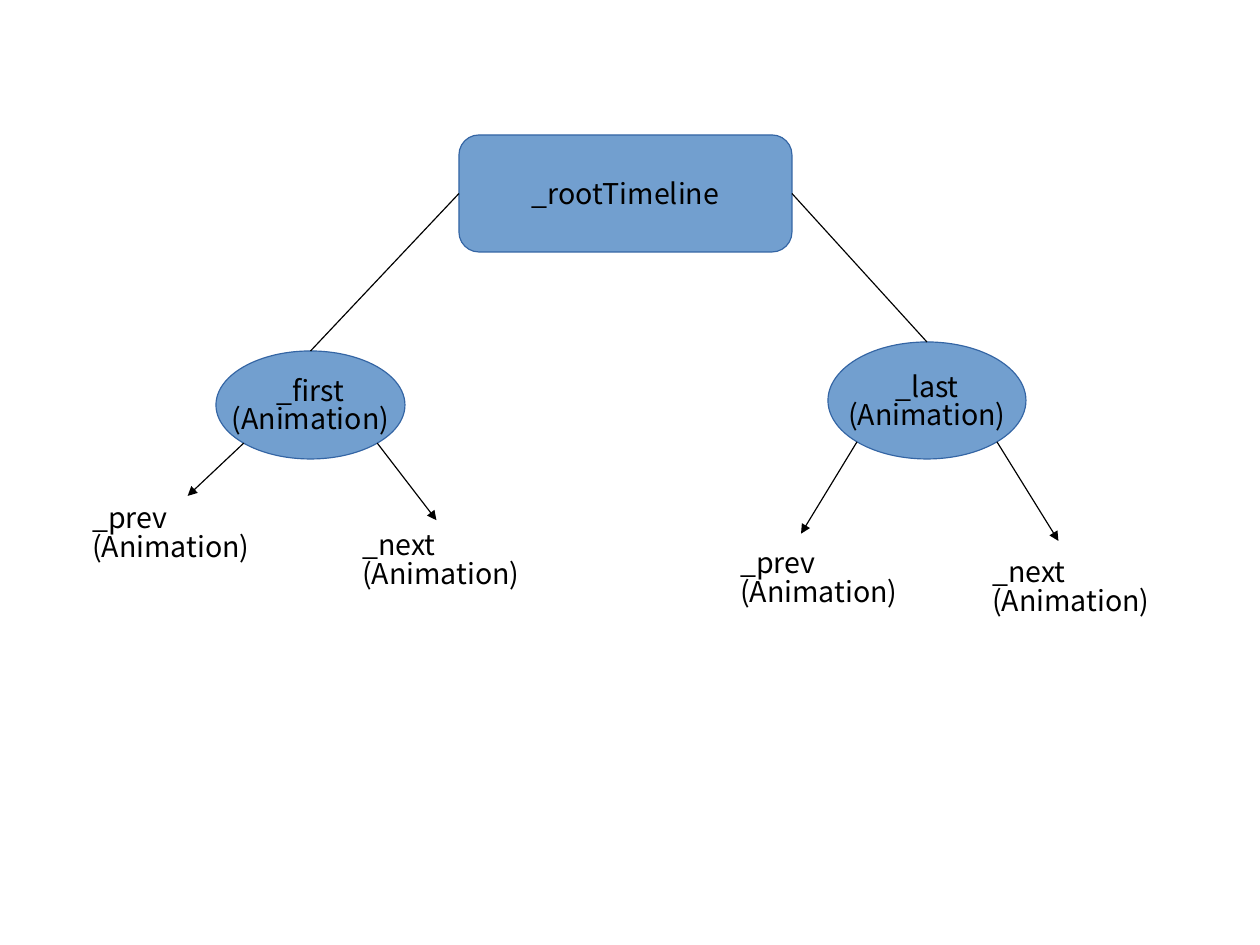
import math
from dataclasses import dataclass

import pptx
import pptx.dml.color
import pptx.enum.shapes
import pptx.enum.text
import pptx.oxml.ns
import pptx.util
from lxml import etree

Cm = pptx.util.Cm
Pt = pptx.util.Pt
SHAPES = pptx.enum.shapes.MSO_SHAPE
ALIGN = pptx.enum.text.PP_ALIGN
ANCHOR = pptx.enum.text.MSO_ANCHOR


@dataclass(frozen=True)
class Theme:
    node_fill: str = "729FCF"
    node_line: str = "3465A4"
    ink: str = "000000"
    font: str = "Noto Sans CJK KR"
    text_size: float = 18
    line_width: float = 0.75
    line_spacing: float = 0.83


def rgb(value):
    return pptx.dml.color.RGBColor.from_string(value)


class TreeDiagram:
    def __init__(self, slide, theme):
        self.slide = slide
        self.theme = theme

    def fill_text(self, frame, lines, align, anchor, wrap):
        frame.margin_left = frame.margin_right = Cm(0.25)
        frame.margin_top, frame.margin_bottom = Cm(0.23), Cm(0.13)
        frame.word_wrap = wrap
        frame.vertical_anchor = anchor
        paragraph = frame.paragraphs[0]
        paragraph.alignment = align
        paragraph.line_spacing = self.theme.line_spacing
        for index, line in enumerate(lines):
            if index:
                paragraph.add_line_break()
            run = paragraph.add_run()
            run.text = line
            run.font.name = self.theme.font
            run.font.size = Pt(self.theme.text_size)
            run.font.color.rgb = rgb(self.theme.ink)

    def node(self, outline, left, top, width, height, *lines):
        node = self.slide.shapes.add_shape(
            outline, Cm(left), Cm(top), Cm(width), Cm(height))
        node.shadow.inherit = False
        node.fill.solid()
        node.fill.fore_color.rgb = rgb(self.theme.node_fill)
        node.line.color.rgb = rgb(self.theme.node_line)
        node.line.width = Pt(self.theme.line_width)
        self.fill_text(node.text_frame, lines,
                       ALIGN.CENTER, ANCHOR.MIDDLE, False)
        return node

    def label(self, left, top, *lines):
        label = self.slide.shapes.add_textbox(
            Cm(left), Cm(top), Cm(4.2), Cm(1.57))
        self.fill_text(label.text_frame, lines, ALIGN.LEFT, ANCHOR.TOP, True)

    def line(self, start=(0, 0), end=(0, 0)):
        line = self.slide.shapes.add_connector(
            pptx.enum.shapes.MSO_CONNECTOR.STRAIGHT, *start, *end)
        line.line.color.rgb = rgb(self.theme.ink)
        line.line.width = Pt(self.theme.line_width)
        etree.SubElement(line._element.spPr, pptx.oxml.ns.qn("a:effectLst"))
        return line

    def branch(self, parent, parent_site, child):
        branch = self.line()
        branch.begin_connect(parent, parent_site)
        branch.end_connect(child, 0)

    def arrow(self, ellipse, side, tip):
        """Arrow from the lower diagonal of an ellipse; side is -1 or 1."""
        reach = (1 + math.sqrt(0.5)) / 2
        across = reach if side > 0 else 1 - reach
        start = (int(ellipse.left + ellipse.width * across),
                 int(ellipse.top + ellipse.height * reach))
        arrow = self.line(start, tuple(Cm(value) for value in tip))
        outline = arrow._element.spPr.find(pptx.oxml.ns.qn("a:ln"))
        etree.SubElement(outline, pptx.oxml.ns.qn("a:tailEnd"),
                         type="triangle")


def main():
    deck = pptx.Presentation()
    deck.slide_width, deck.slide_height = Cm(28), Cm(21)
    slide = deck.slides.add_slide(deck.slide_layouts[6])
    diagram = TreeDiagram(slide, Theme())

    # Root timeline and its two ends
    root = diagram.node(SHAPES.ROUNDED_RECTANGLE, 10.2, 3, 7.4, 2.6,
                        "_rootTimeline")
    root.adjustments[0] = 0.17
    first = diagram.node(SHAPES.OVAL, 4.8, 7.8, 4.2, 2.4,
                         "_first", "(Animation)")
    last = diagram.node(SHAPES.OVAL, 18.4, 7.6, 4.4, 2.6,
                        "_last", "(Animation)")
    diagram.branch(root, 1, first)
    diagram.branch(root, 3, last)

    # Neighbours: animation, side, arrow tip, label corner, name
    neighbours = [
        (first, -1, (4.17, 11.02), (1.8, 11.02), "_prev"),
        (first, 1, (9.7, 11.56), (7.8, 11.62), "_next"),
        (last, -1, (17.8, 11.86), (16.2, 12.02), "_prev"),
        (last, 1, (23.52, 12.02), (21.8, 12.22), "_next"),
    ]
    for animation, side, tip, corner, name in neighbours:
        diagram.arrow(animation, side, tip)
        diagram.label(*corner, name, "(Animation)")

    deck.save("out.pptx")


if __name__ == "__main__":
    main()
